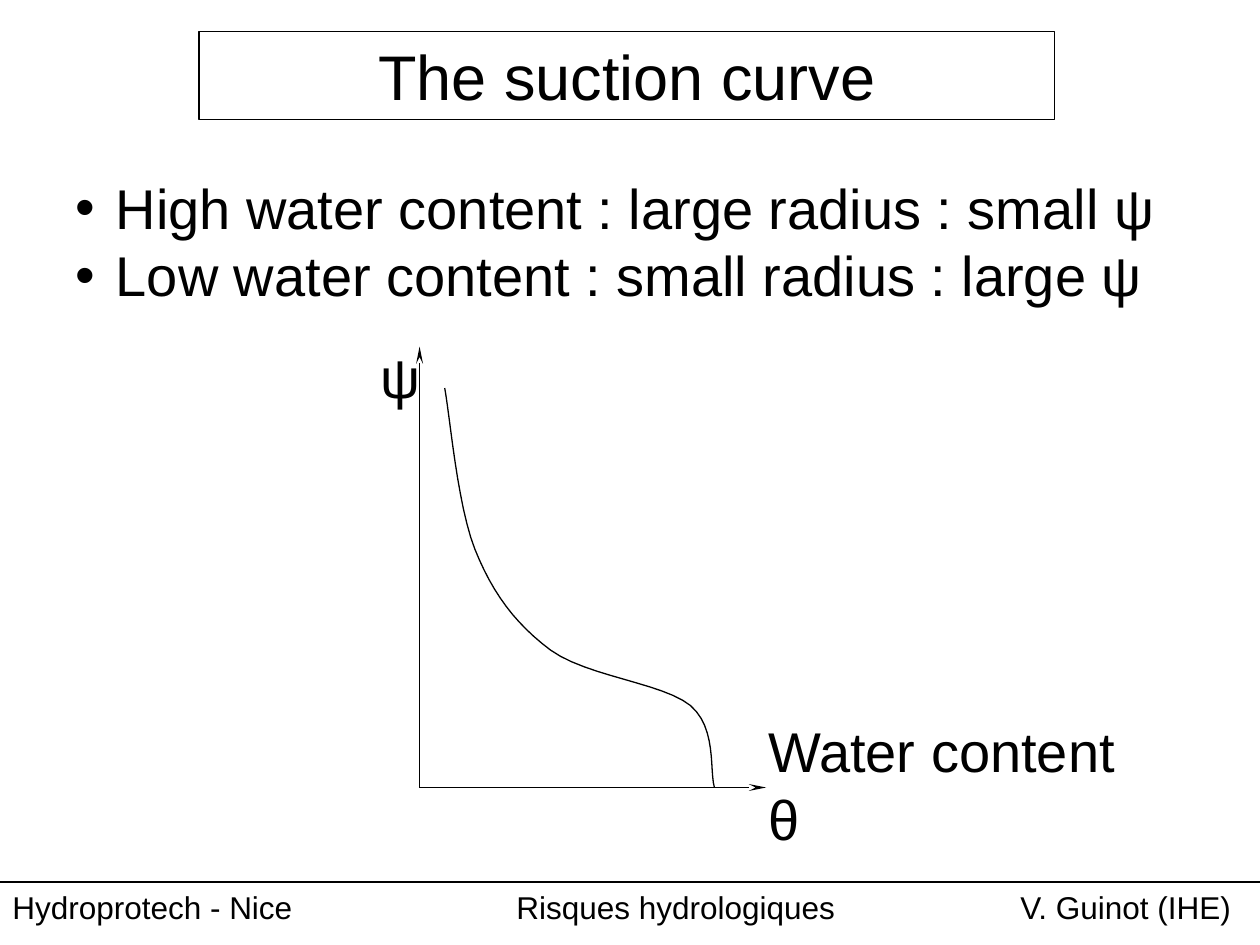
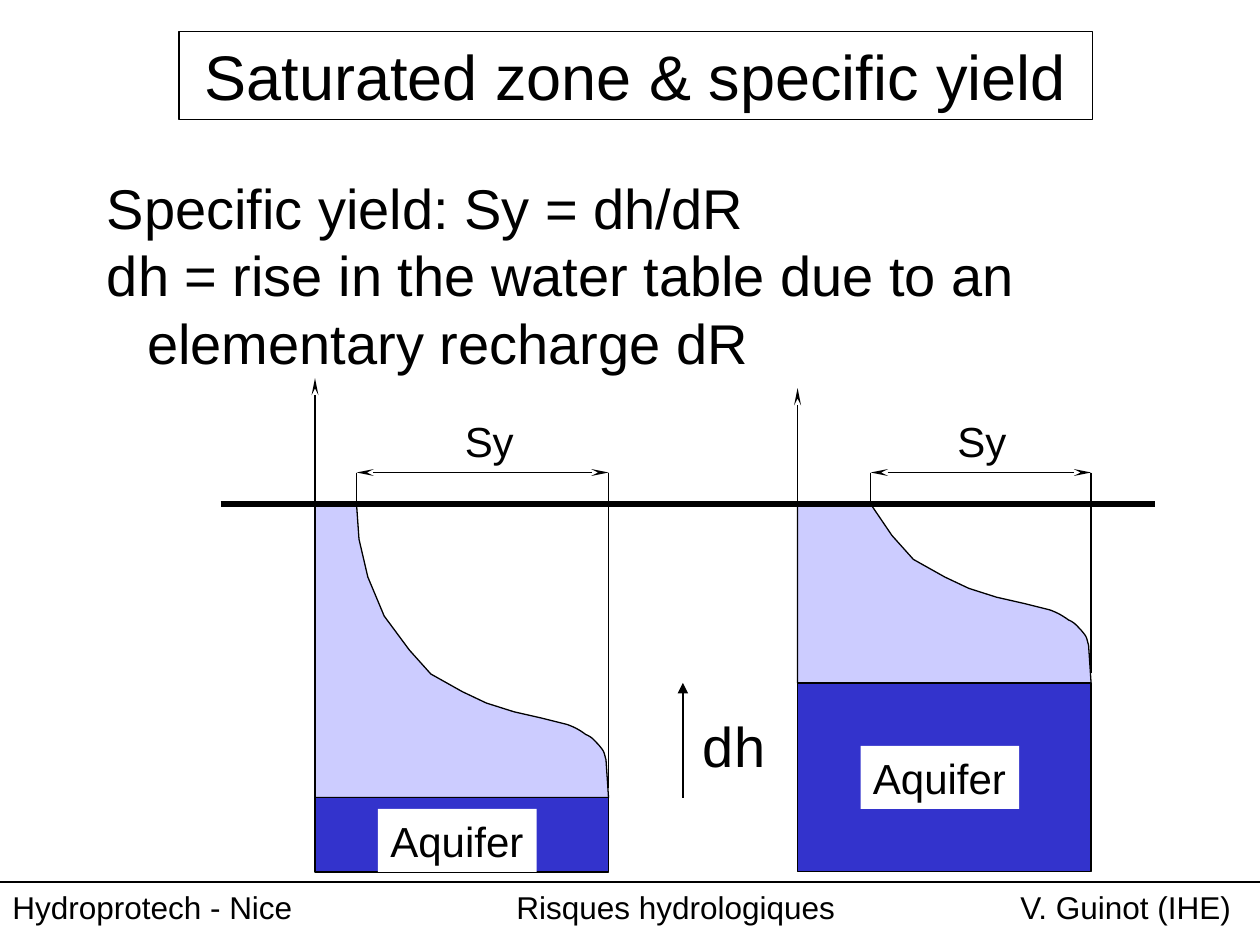
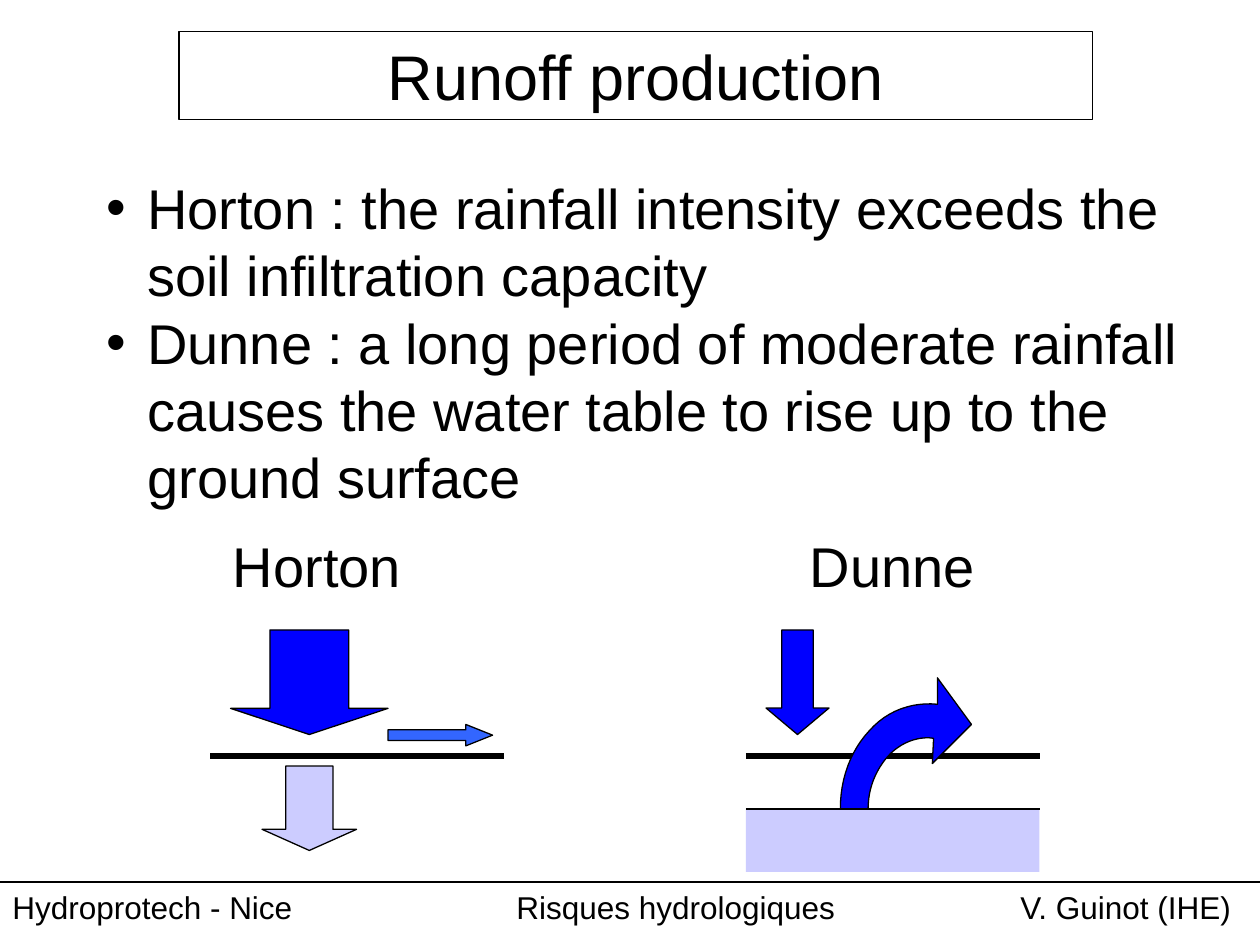
from lxml import etree
from pptx import Presentation, util as u
from pptx.dml.color import RGBColor
from pptx.enum import shapes as kinds, text as texts
from pptx.oxml.ns import qn

BLACK, WHITE = "000000", "FFFFFF"
MOIST, AQUIFER, RAIN, RUNOFF = "CCCCFF", "3333CC", "0000FF", "3366FF"
FONT = "Arial"
THIN, THICK = 0.75, 3
SLENDER = {"type": "stealth", "w": "sm", "len": "lg"}
SOLID = {"type": "triangle"}
TITLE_SIZE, BODY_SIZE, LABEL_SIZE, FOOTER_SIZE = 36, 32, 24, 18
TITLE_TOP, TITLE_HEIGHT, BODY_TOP, BODY_WIDTH = 0.25, 0.7, 1.33, 8.92
HANGING = 0.32
FOOTER_TOP = 7
FOOTER = "Hydroprotech - Nice\t\tRisques hydrologiques\t\tV. Guinot (IHE)"

# Moisture profile above a water table: offsets from the foot of the soil column.
# A six-number entry is a Bezier curve.
COLUMN_WIDTH = 2.33
SHARED_PROFILE = [
    (0.75, -1.17), (0.92, -0.98), (1.17, -0.84), (1.36, -0.75),
    (1.58, -0.68), (1.8, -0.63), (2, -0.58),
    (2.06, -0.56, 2.11, -0.53, 2.15, -0.5),
    (2.2, -0.48, 2.22, -0.45, 2.25, -0.42),
    (2.3, -0.36, 2.29, -0.37, 2.31, -0.3),
    (COLUMN_WIDTH, 0), (0, 0)]
GROUND = 4
AQUIFER_BOTTOM = 6.92


def rgb(code):
    return RGBColor.from_string(code)


def paint(shape, fill=None, line=None):
    shape.shadow.inherit = False
    if fill:
        shape.fill.solid()
        shape.fill.fore_color.rgb = rgb(fill)
    else:
        shape.fill.background()
    if line:
        shape.line.color.rgb = rgb(line)
        shape.line.width = u.Pt(THIN)
    else:
        shape.line.fill.background()
    return shape


def add_preset(slide, kind, left, top, width, height, fill=None, line=BLACK):
    preset = getattr(kinds.MSO_SHAPE, kind)
    box = [u.Inches(v) for v in (left, top, width, height)]
    return paint(slide.shapes.add_shape(preset, *box), fill, line)


def add_line(slide, start, end, width=THIN, **ends):
    """Draw a straight line; ends may give headEnd and tailEnd arrow styles."""
    points = [u.Inches(v) for v in (*start, *end)]
    connector = slide.shapes.add_connector(kinds.MSO_CONNECTOR.STRAIGHT, *points)
    connector.line.color.rgb = rgb(BLACK)
    connector.line.width = u.Pt(width)
    properties = connector._element.spPr
    outline = properties.find(qn("a:ln"))
    for end_name, arrow in ends.items():
        etree.SubElement(outline, qn(f"a:{end_name}"), arrow)
    etree.SubElement(properties, qn("a:effectLst"))


def flatten(path, steps=12):
    """Turn points and Bezier curves into points only."""
    points = [path[0]]
    for part in path[1:]:
        if len(part) == 2:
            points.append(part)
            continue
        x0, y0 = points[-1]
        x1, y1, x2, y2, x3, y3 = part
        for step in range(1, steps + 1):
            t = step / steps
            a, b, c, d = (1 - t) ** 3, 3 * t * (1 - t) ** 2, 3 * t * t * (1 - t), t ** 3
            points.append((a * x0 + b * x1 + c * x2 + d * x3,
                           a * y0 + b * y1 + c * y2 + d * y3))
    return points


def add_outline(slide, left, top, path, fill=None, close=True):
    points = [(u.Inches(left + x), u.Inches(top + y)) for x, y in flatten(path)]
    builder = slide.shapes.build_freeform(*points[0])
    builder.add_line_segments(points[1:], close=close)
    return paint(builder.convert_to_shape(), fill, BLACK)


def write(shape, lines, size, wrap=True, align="LEFT", indent=0, bullet=False, tabs=()):
    frame = shape.text_frame
    frame.word_wrap = wrap
    frame.auto_size = texts.MSO_AUTO_SIZE.SHAPE_TO_FIT_TEXT
    for index, line in enumerate(lines):
        paragraph = frame.paragraphs[0] if index == 0 else frame.add_paragraph()
        paragraph.alignment = getattr(texts.PP_ALIGN, align)
        properties = paragraph._p.get_or_add_pPr()
        if indent:
            properties.set("marL", str(u.Inches(indent)))
            properties.set("indent", str(-u.Inches(indent)))
        if bullet:
            etree.SubElement(properties, qn("a:buFont"), typeface=FONT)
            etree.SubElement(properties, qn("a:buChar"), char="•")
        if tabs:
            stops = etree.SubElement(properties, qn("a:tabLst"))
            for stop in tabs:
                etree.SubElement(stops, qn("a:tab"), pos=str(u.Inches(stop)), algn="l")
        run = paragraph.add_run()
        run.text = line
        for name, value in {"name": FONT, "size": u.Pt(size)}.items():
            setattr(run.font, name, value)
        run.font.color.rgb = rgb(BLACK)


def add_text(slide, left, top, width, height, lines, size=BODY_SIZE, **layout):
    box = [u.Inches(v) for v in (left, top, width, height)]
    write(slide.shapes.add_textbox(*box), lines, size, **layout)


def add_page(deck, title, left=1.42, width=7.25):
    """Add a blank slide with its framed title and the footer."""
    slide = deck.slides.add_slide(deck.slide_layouts[6])
    frame = add_preset(slide, "RECTANGLE", left, TITLE_TOP, width, TITLE_HEIGHT)
    write(frame, [title], TITLE_SIZE, align="CENTER")
    add_line(slide, (0, FOOTER_TOP), (10, FOOTER_TOP))
    add_text(slide, 0, FOOTER_TOP, 10, 0.4, [FOOTER], FOOTER_SIZE, tabs=range(1, 9))
    return slide


def add_body(slide, left, height, lines, bullet=True):
    add_text(slide, left, BODY_TOP, BODY_WIDTH, height, lines,
             indent=HANGING, bullet=bullet)


def suction_graph(slide, left, bottom):
    """Place the axes, the curve and the axis names from the origin."""
    origin = (left, bottom)
    add_line(slide, origin, (left + 2.75, bottom), tailEnd=SLENDER)
    add_line(slide, origin, (left, bottom - 3.5), tailEnd=SLENDER)
    curve = [(0.2, -3.17),
             (0.24, -2.96, 0.3, -2.24, 0.44, -1.89),
             (0.58, -1.54, 0.76, -1.3, 1.04, -1.09),
             (1.33, -0.88, 1.93, -0.83, 2.15, -0.65),
             (2.36, -0.47, 2.3, -0.14, 2.34, 0)]
    add_outline(slide, left, bottom, curve, close=False)
    add_text(slide, left + 2.67, bottom - 0.61, 3, 1.17,
             ["Water content", "θ"], wrap=False)
    add_text(slide, left - 0.41, bottom - 3.58, 0.52, 0.64, ["ψ"], wrap=False)


def soil_column(slide, left, water_table, dry_profile, axis_top, yield_left, label_drop):
    """Draw the moist soil, the aquifer and the specific yield of one column."""
    right = left + COLUMN_WIDTH
    dry_edge = left + dry_profile[0][0]
    span_top = GROUND - 0.25
    soil = [(0, GROUND - water_table), *dry_profile, *SHARED_PROFILE]
    add_outline(slide, left, water_table, soil, MOIST)
    add_line(slide, (left, axis_top + 3.5), (left, axis_top), tailEnd=SLENDER)
    add_preset(slide, "RECTANGLE", left, water_table, COLUMN_WIDTH,
               AQUIFER_BOTTOM - water_table, AQUIFER)
    label = add_preset(slide, "RECTANGLE", left + 0.5, water_table + label_drop,
                       1.26, 0.5, WHITE, None)
    write(label, ["Aquifer"], LABEL_SIZE)
    add_line(slide, (dry_edge, span_top), (right, span_top),
             headEnd=SLENDER, tailEnd=SLENDER)
    add_line(slide, (right, water_table - 0.08), (right, span_top))
    add_line(slide, (dry_edge, GROUND), (dry_edge, span_top))
    add_text(slide, yield_left, span_top - 0.5, 0.62, 0.5, ["Sy"], LABEL_SIZE, wrap=False)


def water_table_rise(slide, left, low, high):
    add_line(slide, (left, low), (left, high), tailEnd=SOLID)
    add_text(slide, left + 0.06, high + 0.18, 0.75, 0.64, ["dh"], wrap=False)


def add_arrow(slide, kind, left, top, width, height, fill, head):
    arrow = add_preset(slide, kind, left, top, width, height, fill)
    arrow.adjustments[1] = head


def add_scheme_base(slide, name, left, ground, name_offset):
    """Draw the ground line of a runoff scheme and the name above it."""
    add_line(slide, (left, ground), (left + COLUMN_WIDTH, ground), THICK)
    add_text(slide, left + name_offset, ground - 1.83, 1.6, 0.64, [name], wrap=False)


def horton_scheme(slide, left, ground):
    add_scheme_base(slide, "Horton", left, ground, 0.08)
    add_arrow(slide, "DOWN_ARROW", left + 0.16, ground - 1, 1.25, 0.83, RAIN, 0.25)
    add_arrow(slide, "DOWN_ARROW", left + 0.41, ground + 0.08, 0.75, 0.67, MOIST, 0.25)
    add_arrow(slide, "RIGHT_ARROW", left + 1.41, ground - 0.25, 0.83, 0.17, RUNOFF, 1.25)


def dunne_scheme(slide, left, ground):
    table = ground + 0.42
    add_scheme_base(slide, "Dunne", left, ground, 0.41)
    add_arrow(slide, "DOWN_ARROW", left + 0.16, ground - 1, 0.5, 0.83, RAIN, 0.42)
    overflow = [(1.49, -0.14),
                (1.36, -0.16, 1.22, -0.1, 1.13, 0),
                (1.03, 0.11, 0.97, 0.26, 0.97, 0.42),
                (0.75, 0.42),
                (0.75, 0.18, 0.83, -0.04, 0.98, -0.2),
                (1.12, -0.36, 1.32, -0.43, 1.52, -0.41),
                (1.52, -0.62), (1.79, -0.25), (1.48, 0.06)]
    add_outline(slide, left, ground, overflow, RAIN)
    add_preset(slide, "RECTANGLE", left, table, COLUMN_WIDTH, 0.5, MOIST, None)
    add_line(slide, (left, table), (left + COLUMN_WIDTH, table))


def suction_slide(deck):
    slide = add_page(deck, "The suction curve", 1.58, 6.79)
    add_body(slide, 0.5, 1.17, ["High water content : large radius : small ψ",
                                "Low water content : small radius : large ψ"])
    suction_graph(slide, 3.33, 6.25)


def yield_slide(deck):
    slide = add_page(deck, "Saturated zone & specific yield")
    add_body(slide, 0.75, 1.7, [
        "Specific yield: Sy = dh/dR",
        "dh = rise in the water table due to an elementary recharge dR"], bullet=False)
    low, high = 6.33, 5.42
    deep_profile = [(0.33, -2.33), (0.35, -2.05), (0.42, -1.75), (0.55, -1.44)]
    soil_column(slide, 2.5, low, deep_profile, 3, 3.59, 0.09)
    soil_column(slide, 6.33, high, [(0.58, -1.42)], 3.08, 7.5, 0.5)
    add_line(slide, (1.75, GROUND), (9.17, GROUND), THICK)
    water_table_rise(slide, 5.42, low, high)


def runoff_slide(deck):
    slide = add_page(deck, "Runoff production")
    add_body(slide, 0.75, 2.77, [
        "Horton : the rainfall intensity exceeds the soil infiltration capacity",
        "Dunne : a long period of moderate rainfall causes the water table "
        "to rise up to the ground surface"])
    horton_scheme(slide, 1.67, 6)
    dunne_scheme(slide, 5.92, 6)


def main():
    deck = Presentation()
    deck.slide_width, deck.slide_height = u.Inches(10), u.Inches(7.5)
    for build_slide in (suction_slide, yield_slide, runoff_slide):
        build_slide(deck)
    deck.save("out.pptx")


if __name__ == "__main__":
    main()
